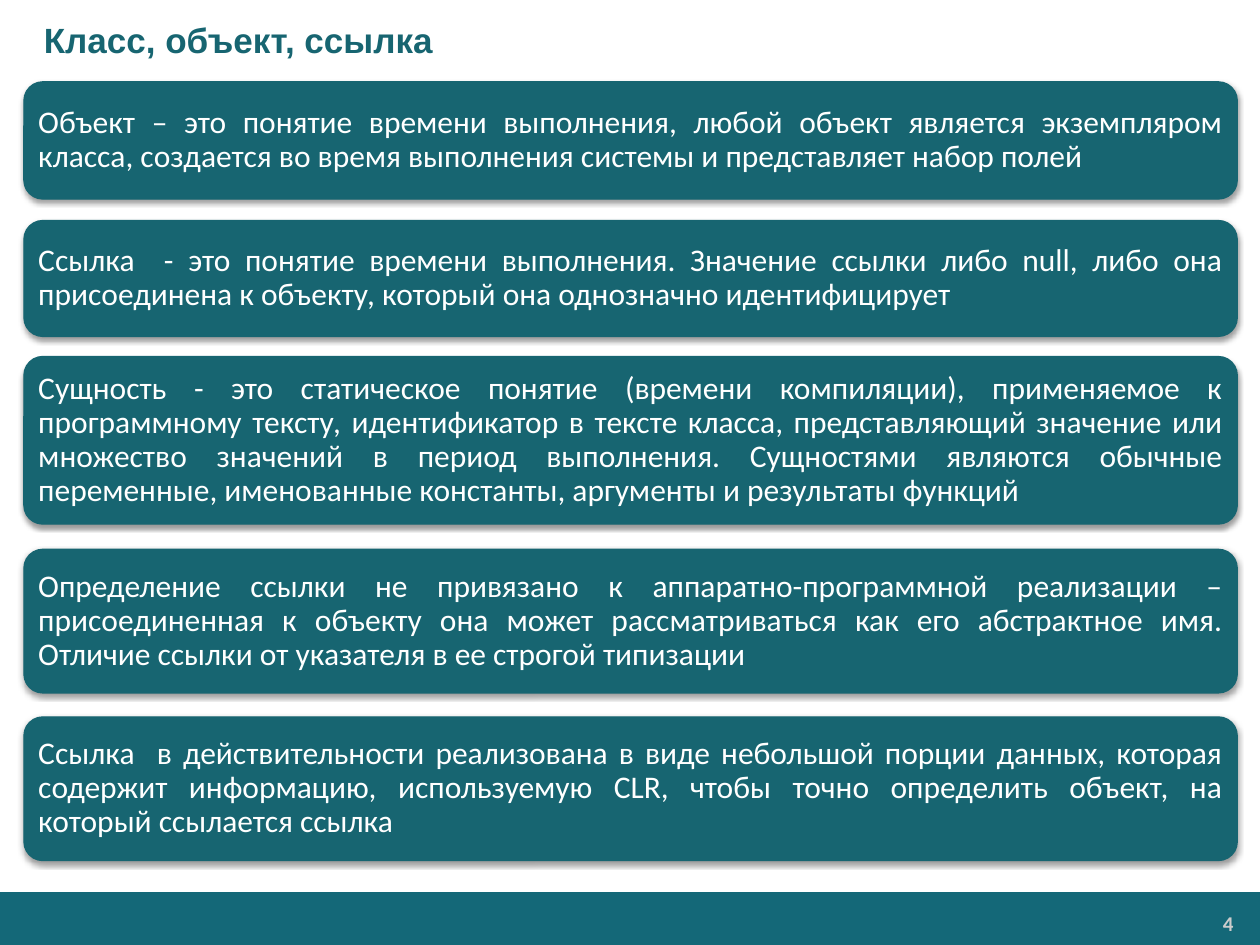
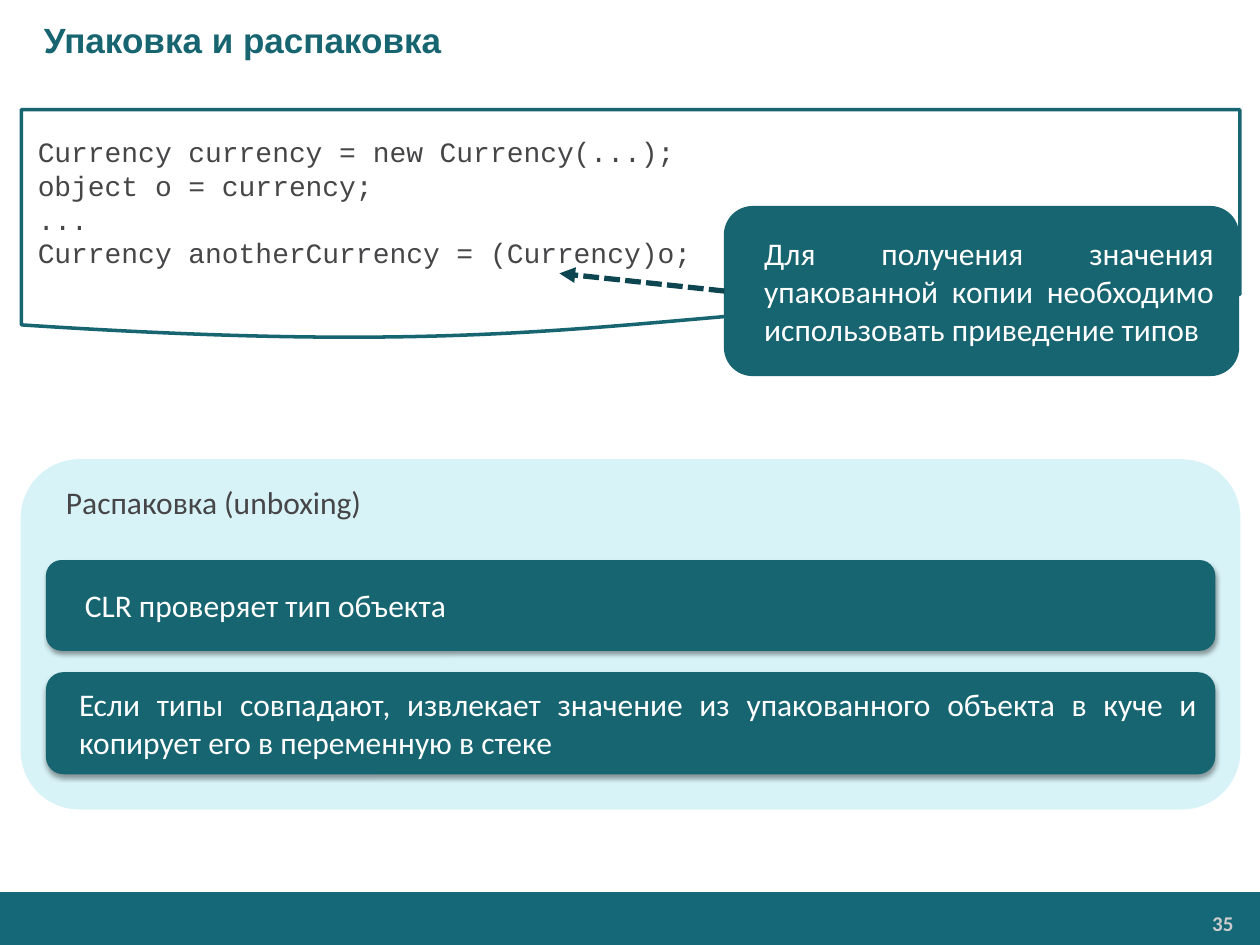
from lxml.etree import SubElement
from pptx import Presentation
from pptx.dml.color import RGBColor
from pptx.enum.dml import MSO_LINE
from pptx.enum.shapes import MSO_CONNECTOR, MSO_SHAPE
from pptx.enum.text import MSO_ANCHOR, PP_ALIGN
from pptx.oxml.ns import qn
from pptx.util import Inches, Pt

TEAL = RGBColor(0x17, 0x65, 0x71)
BAND = RGBColor(0x14, 0x68, 0x78)
DARK = RGBColor(0x0D, 0x46, 0x50)
PALE = RGBColor(0xD7, 0xF3, 0xF7)
GREY = RGBColor(0x46, 0x45, 0x47)
SILVER = RGBColor(0xCC, 0xCC, 0xCC)
WHITE = RGBColor(0xFF, 0xFF, 0xFF)

# top, height, text
TERMS = [
    (0.65, 0.93, "Объект – это понятие времени выполнения, любой объект является "
     "экземпляром класса, создается во время выполнения системы и представляет "
     "набор полей"),
    (1.75, 0.92, "Ссылка  - это понятие времени выполнения. Значение ссылки либо "
     "null, либо она присоединена к объекту, который она однозначно "
     "идентифицирует"),
    (2.83, 1.33, "Сущность - это статическое понятие (времени компиляции), "
     "применяемое к программному тексту, идентификатор в тексте класса, "
     "представляющий значение или множество значений в период выполнения. "
     "Сущностями являются обычные переменные, именованные константы, аргументы "
     "и результаты функций"),
    (4.36, 1.14, "Определение ссылки не привязано к аппаратно-программной "
     "реализации – присоединенная к объекту она может рассматриваться как его "
     "абстрактное имя. Отличие ссылки от указателя в ее строгой типизации"),
    (5.69, 1.14, "Ссылка  в действительности реализована в виде небольшой порции "
     "данных, которая содержит информацию, используемую CLR, чтобы точно "
     "определить объект, на который ссылается ссылка"),
]
CODE = [
    "Currency currency = new Currency(...);",
    "object o = currency;",
    "...",
    "Currency anotherCurrency = (Currency)o;",
]


def write(shape, lines, size, color, font="Calibri", bold=False,
          align=PP_ALIGN.JUSTIFY, anchor=MSO_ANCHOR.MIDDLE,
          inset=(0.1, 0.05), indent=0, spacing=None):
    frame = shape.text_frame
    frame.word_wrap = True
    frame.vertical_anchor = anchor
    frame.margin_left = frame.margin_right = Inches(inset[0])
    frame.margin_top = frame.margin_bottom = Inches(inset[1])
    for i, line in enumerate(lines):
        para = frame.add_paragraph() if i else frame.paragraphs[0]
        para.alignment = align
        para.line_spacing = spacing
        if indent:
            props = para._p.get_or_add_pPr()
            props.set("marL", str(Inches(indent)))
            props.set("indent", "0")
        run = para.add_run()
        run.text = line
        run.font.name = font
        run.font.size = Pt(size)
        run.font.bold = bold
        run.font.color.rgb = color


def add_box(slide, kind, box, fill, line=None, width=0.75):
    shape = slide.shapes.add_shape(kind, *map(Inches, box))
    shape.shadow.inherit = False
    shape.fill.solid()
    shape.fill.fore_color.rgb = fill
    shape.line.color.rgb = line or fill
    shape.line.width = Pt(width)
    return shape


def add_round(slide, box, fill=TEAL, radius=None):
    shape = add_box(slide, MSO_SHAPE.ROUNDED_RECTANGLE, box, fill)
    if radius:
        shape.adjustments[0] = radius / box[3]
    return shape


def cast_shadow(shape):
    effects = shape._element.spPr.find(qn("a:effectLst"))
    outer = SubElement(effects, qn("a:outerShdw"), blurRad=str(Pt(3.1)),
                       dist=str(Pt(1.6)), dir="5400000", rotWithShape="0")
    color = SubElement(outer, qn("a:srgbClr"), val="000000")
    SubElement(color, qn("a:alpha"), val="38000")


def add_card(slide, box, text, radius=None, **style):
    card = add_round(slide, box, radius=radius)
    cast_shadow(card)
    write(card, [text], 18, WHITE, **style)


def add_arrow(slide, start, end):
    arrow = slide.shapes.add_connector(
        MSO_CONNECTOR.STRAIGHT, *map(Inches, start + end))
    arrow.line.color.rgb = DARK
    arrow.line.width = Pt(3)
    arrow.line.dash_style = MSO_LINE.SQUARE_DOT
    SubElement(arrow.line._get_or_add_ln(), qn("a:tailEnd"), type="triangle")
    SubElement(arrow._element.spPr, qn("a:effectLst"))


def add_label(slide, box, text, size, color, **style):
    label = slide.shapes.add_textbox(*map(Inches, box))
    write(label, [text], size, color, bold=True, **style)


def add_page(deck, title, number):
    """Add a slide with the shared band, page number and title."""
    slide = deck.slides.add_slide(deck.slide_layouts[6])
    band = add_box(slide, MSO_SHAPE.RECTANGLE, (0, 7.08, 10.01, 0.43), BAND)
    band.line.fill.background()
    add_label(slide, (8.23, 7.19, 1.63, 0.28), number, 12, SILVER,
              align=PP_ALIGN.RIGHT, anchor=MSO_ANCHOR.TOP, inset=(0.07, 0.04))
    add_label(slide, (0, 0, 10, 0.63), title, 20, TEAL, font="Arial",
              align=PP_ALIGN.LEFT, indent=0.25)
    return slide


def build_terms(deck):
    slide = add_page(deck, "Класс, объект, ссылка", "4")
    for top, height, text in TERMS:
        add_card(slide, (0.19, top, 9.63, height), text, radius=0.15,
                 inset=(0.07, 0.07), spacing=0.9)


def build_unboxing(deck):
    slide = add_page(deck, "Упаковка и распаковка", "35")
    panel = add_round(slide, (0.17, 3.65, 9.67, 2.77), PALE)
    write(panel, ["Распаковка (unboxing)"], 18, GREY,
          anchor=MSO_ANCHOR.TOP, indent=0.12)
    add_card(slide, (0.37, 5.34, 9.27, 0.8),
             "Если типы совпадают, извлекает значение из упакованного объекта "
             "в куче и копирует его в переменную в стеке", indent=0.12)
    add_card(slide, (0.37, 4.45, 9.27, 0.71), "CLR проверяет тип объекта",
             indent=0.17)

    code = add_box(slide, MSO_SHAPE.FLOWCHART_DOCUMENT,
                   (0.17, 0.87, 9.67, 1.83), WHITE, TEAL, 2)
    write(code, CODE, 16, GREY, font="Courier New", align=PP_ALIGN.LEFT,
          inset=(0.13, 0.06))
    callout = add_round(slide, (5.75, 1.64, 4.08, 1.34))
    write(callout, ["Для получения значения упакованной копии необходимо "
                    "использовать приведение типов"], 18, WHITE,
          inset=(0.13, 0.06), indent=0.12)
    add_arrow(slide, (5.75, 2.31), (4.44, 2.17))


def main():
    deck = Presentation()
    deck.slide_width = Inches(10)
    deck.slide_height = Inches(7.5)
    build_terms(deck)
    build_unboxing(deck)
    deck.save("out.pptx")


if __name__ == "__main__":
    main()
